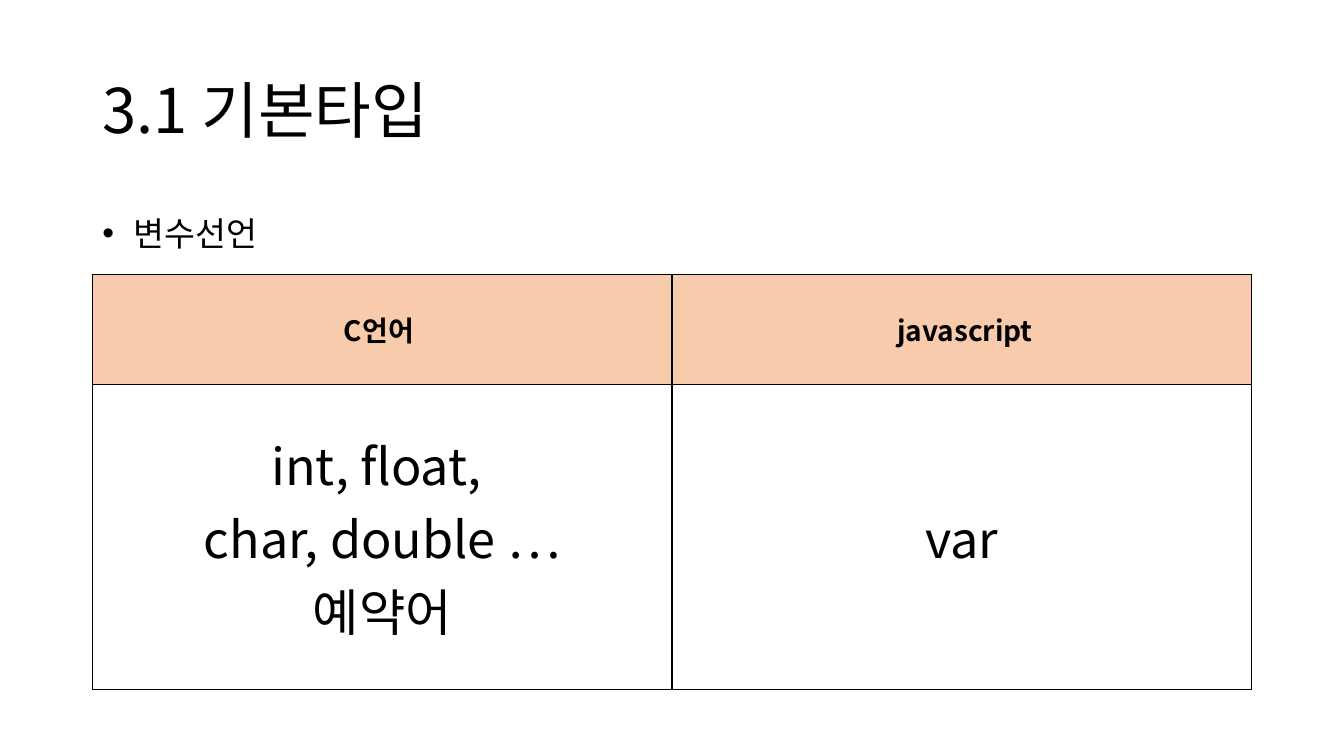
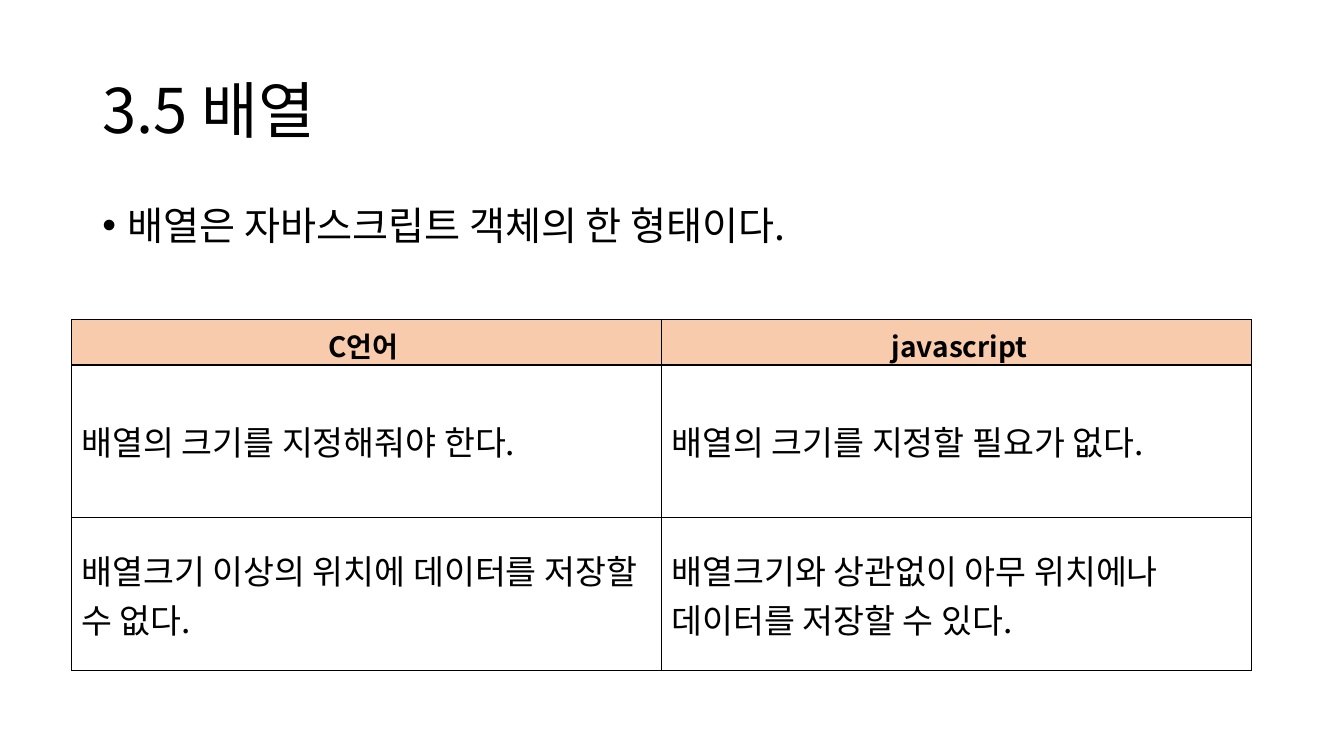
from dataclasses import dataclass

from lxml import etree
from pptx import Presentation
from pptx.dml.color import RGBColor
from pptx.enum.text import MSO_ANCHOR, PP_ALIGN
from pptx.oxml.ns import qn
from pptx.slide import Slide
from pptx.table import _Cell
from pptx.text.text import TextFrame, _Paragraph
from pptx.util import Pt

FONT = "Noto Sans CJK KR"
BLACK = RGBColor(0x00, 0x00, 0x00)
WHITE = RGBColor(0xFF, 0xFF, 0xFF)
PEACH = RGBColor(0xF8, 0xCB, 0xAD)
LEFT, CENTER = PP_ALIGN.LEFT, PP_ALIGN.CENTER
TOP, MIDDLE = MSO_ANCHOR.TOP, MSO_ANCHOR.MIDDLE
HEADER = ("C언어 ", " javascript")
HEADER_SIZE = 20
TITLE_SIZE = 44
BORDER_WIDTH = 1


@dataclass(frozen=True)
class Box:
    """A rectangle in points."""
    left: float
    top: float
    width: float
    height: float

    def lengths(self) -> tuple[Pt, Pt, Pt, Pt]:
        """Return the four values as lengths."""
        return Pt(self.left), Pt(self.top), Pt(self.width), Pt(self.height)


@dataclass(frozen=True)
class Bullet:
    """A bulleted line."""
    text: str
    box: Box
    size: float
    indent: float
    line_spacing: float = 1.0
    space_before: float = 0


@dataclass(frozen=True)
class Comparison:
    """A two-column table that sets C beside javascript."""
    box: Box
    row_heights: tuple[float, ...]
    rows: tuple[tuple[str, str], ...]
    size: float
    align: PP_ALIGN


@dataclass(frozen=True)
class Page:
    """The content of one slide."""
    title: str
    bullet: Bullet
    comparison: Comparison


TITLE_BOX = Box(66, 28.8, 828, 104.4)

PAGES = (
    Page(
        "3.1 기본타입",
        Bullet("변수선언", Box(66, 148.3, 163.4, 36), 24, 22.5),
        Comparison(
            Box(66, 195.8, 828, 296.6), (78.6, 218),
            (("int, float, \nchar, double …\n예약어", "var"),), 36, CENTER),
    ),
    Page(
        "3.5 배열",
        Bullet("배열은 자바스크립트 객체의 한 형태이다.",
               Box(66, 143.75, 828, 342.7), 28, 18, 0.9, 10),
        Comparison(
            Box(51, 228.3, 843, 250.6), (32.4, 109.1, 109.1),
            (("배열의 크기를 지정해줘야 한다. ", "배열의 크기를 지정할 필요가 없다."),
             ("배열크기 이상의 위치에 데이터를 저장할 수 없다.",
              "배열크기와 상관없이 아무 위치에나 데이터를 저장할 수 있다.")), 24, LEFT),
    ),
)


def style_text(tf: TextFrame, size: float, bold: bool = False) -> None:
    """Format every run for Latin and Korean letters."""
    for p in tf.paragraphs:
        for r in p.runs:
            r.font.size = Pt(size)
            r.font.bold = bold
            r.font.color.rgb = BLACK
            r.font.name = FONT
            etree.SubElement(r.font._element, qn("a:ea"), typeface=FONT)


def add_text(slide: Slide, text: str, box: Box, size: float,
             anchor: MSO_ANCHOR, line_spacing: float) -> _Paragraph:
    """Add a one-paragraph text box and return its paragraph."""
    tf = slide.shapes.add_textbox(*box.lengths()).text_frame
    tf.word_wrap = True
    tf.vertical_anchor = anchor
    tf.text = text
    style_text(tf, size)
    p = tf.paragraphs[0]
    p.line_spacing = line_spacing
    return p


def add_bullet(slide: Slide, bullet: Bullet) -> None:
    """Add a line with a hanging bullet."""
    p = add_text(slide, bullet.text, bullet.box, bullet.size, TOP,
                 bullet.line_spacing)
    p.space_before = Pt(bullet.space_before)
    pPr = p._p.get_or_add_pPr()
    pPr.set("marL", str(Pt(bullet.indent)))
    pPr.set("indent", str(-Pt(bullet.indent)))
    etree.SubElement(pPr, qn("a:buFont"), typeface="Arial")
    etree.SubElement(pPr, qn("a:buChar"), char="•")


def set_borders(cell: _Cell) -> None:
    """Draw a black line on all sides of a cell."""
    tcPr = cell._tc.get_or_add_tcPr()
    for i, side in enumerate(("lnL", "lnR", "lnT", "lnB")):
        ln = etree.Element(qn(f"a:{side}"), w=str(Pt(BORDER_WIDTH)))
        fill = etree.SubElement(ln, qn("a:solidFill"))
        etree.SubElement(fill, qn("a:srgbClr"), val=str(BLACK))
        tcPr.insert(i, ln)


def fill_cell(cell: _Cell, text: str, size: float, align: PP_ALIGN,
              color: RGBColor, bold: bool) -> None:
    """Write and format one table cell."""
    tf = cell.text_frame
    tf.text = text
    style_text(tf, size, bold)
    for p in tf.paragraphs:
        p.alignment = align
    cell.vertical_anchor = MIDDLE
    cell.fill.solid()
    cell.fill.fore_color.rgb = color
    set_borders(cell)


def add_comparison(slide: Slide, comparison: Comparison) -> None:
    """Add the table with its header row."""
    rows = (HEADER, *comparison.rows)
    table = slide.shapes.add_table(
        len(rows), len(HEADER), *comparison.box.lengths()).table
    table.first_row = table.horz_banding = False
    for i, (height, texts) in enumerate(zip(comparison.row_heights, rows)):
        table.rows[i].height = Pt(height)
        for j, text in enumerate(texts):
            cell = table.cell(i, j)
            if i == 0:
                fill_cell(cell, text, HEADER_SIZE, CENTER, PEACH, True)
            else:
                fill_cell(cell, text, comparison.size, comparison.align,
                          WHITE, False)


def main() -> None:
    """Build and save the presentation."""
    prs = Presentation()
    prs.slide_width, prs.slide_height = Pt(960), Pt(540)
    for page in PAGES:
        slide = prs.slides.add_slide(prs.slide_layouts[6])
        add_text(slide, page.title, TITLE_BOX, TITLE_SIZE, MIDDLE, 0.9)
        add_bullet(slide, page.bullet)
        add_comparison(slide, page.comparison)
    prs.save("out.pptx")


main()
